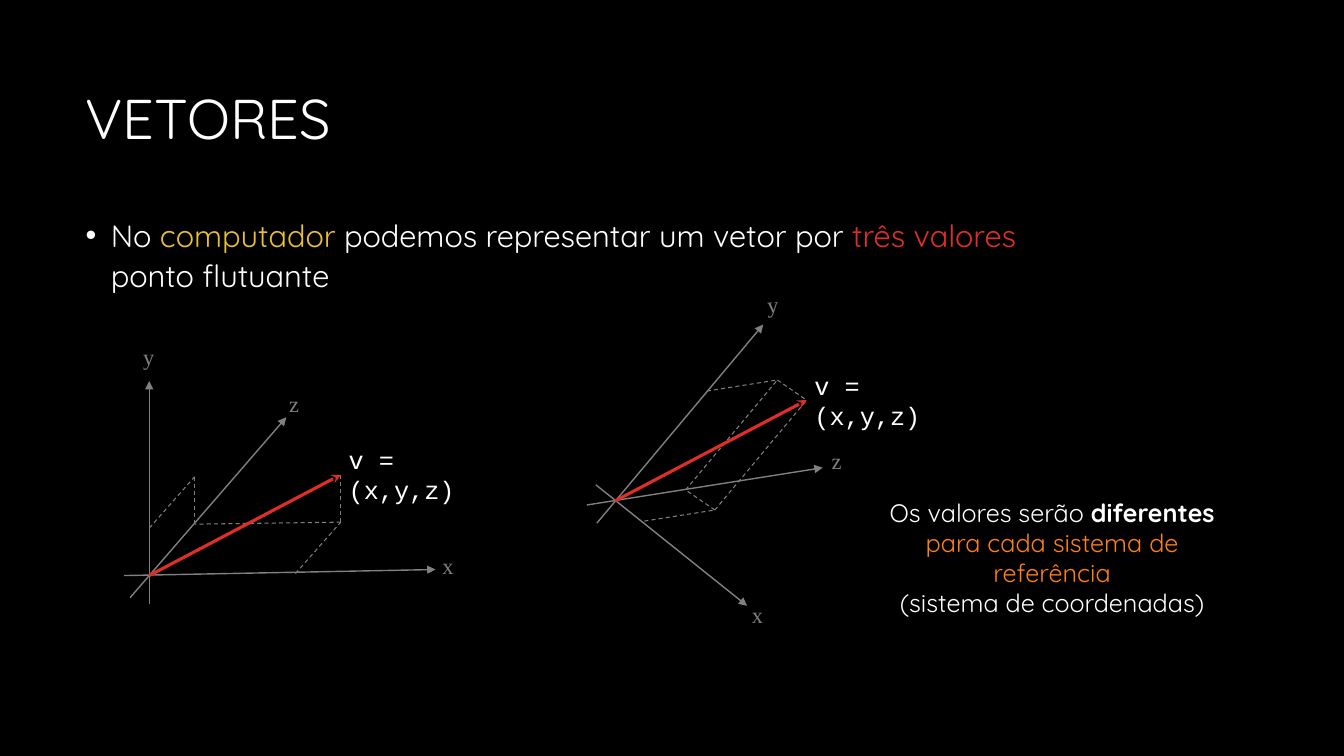
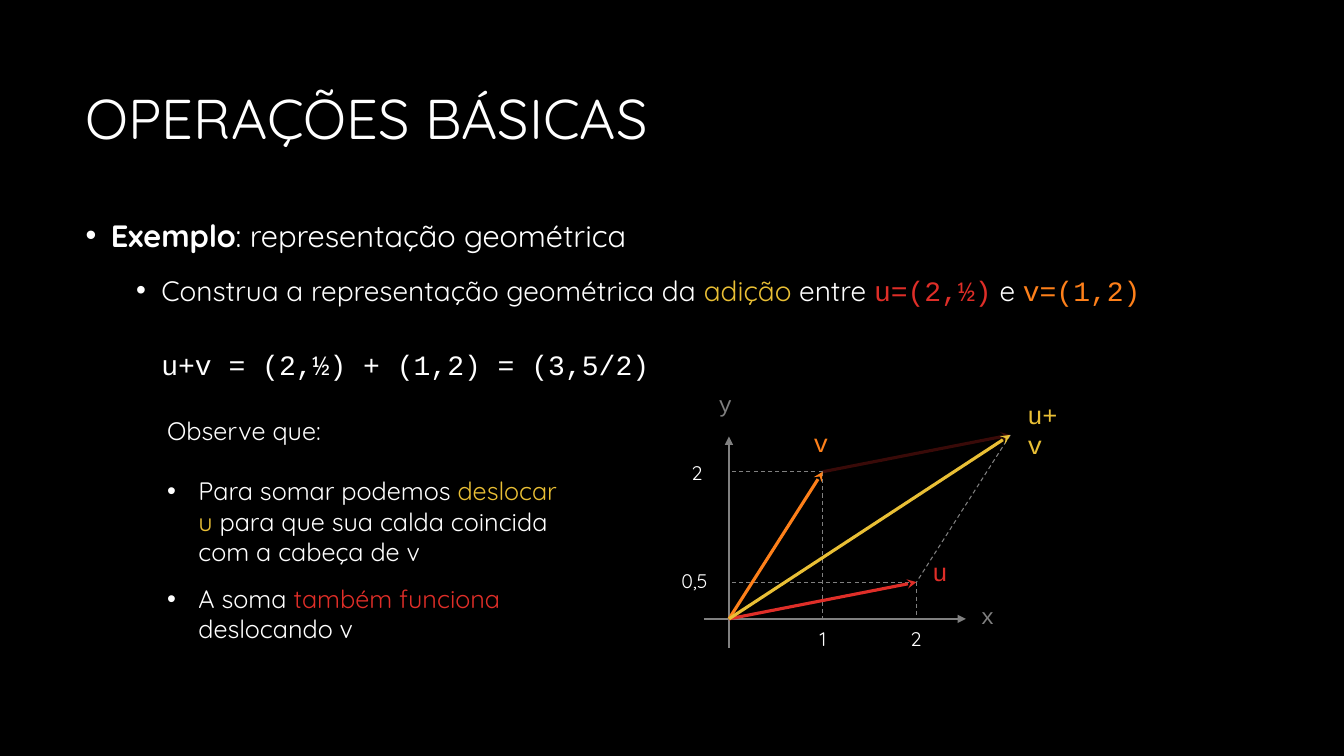
from copy import deepcopy
from dataclasses import dataclass

from lxml import etree
from pptx import Presentation
from pptx.dml import color
from pptx.enum import dml, shapes, text
from pptx.oxml import ns
from pptx.util import Inches, Pt


@dataclass(frozen=True)
class Theme:
    """Colours, fonts and type sizes of the deck."""
    back: str = "000000"
    ink: str = "FFFFFF"
    gray: str = "808080"
    yellow: str = "E9BF35"
    red: str = "DF2E28"
    dark_red: str = "721411"
    orange: str = "FE801A"
    sans: str = "Quicksand"
    mono: str = "Courier New"
    serif: str = "Times New Roman"
    title: int = 40
    lead: int = 22
    sub: int = 20
    note: int = 18
    axis: int = 16
    tick: int = 14
    vector: float = 2.25
    rule: float = 1
    guide: float = 0.75


T = Theme()
BREAK = "\n"


def rgb(value):
    """Return a colour from its hex digits."""
    return color.RGBColor.from_string(value)


def add(*vectors):
    """Sum plane vectors."""
    return tuple(sum(c) for c in zip(*vectors))


def sub_element(parent, tag, **attrs):
    """Append a DrawingML element with attributes."""
    return etree.SubElement(parent, ns.qn("a:" + tag), attrs)


def style(r, size, ink=T.ink, font=T.sans, bold=False):
    """Format one run."""
    r.font.size, r.font.name, r.font.bold = Pt(size), font, bold
    r.font.color.rgb = rgb(ink)


def write(p, size, *parts):
    """Fill a paragraph with (text, colour, font, bold) parts and breaks."""
    for part in parts:
        if part == BREAK:
            p.add_line_break()
            p._p[-1].append(deepcopy(p.runs[-1]._r.rPr))
        else:
            r = p.add_run()
            r.text = part[0]
            style(r, size, *part[1:])


def bullet(p, left, hang):
    """Give a paragraph a hanging round bullet."""
    pPr = p._p.get_or_add_pPr()
    pPr.set("marL", str(Inches(left)))
    pPr.set("indent", str(-Inches(hang)))
    sub_element(pPr, "buFont", typeface="Arial")
    sub_element(pPr, "buChar", char="•")


def body_item(p, level, size, before, *parts):
    """Write one list item of the body placeholder."""
    p.level = level
    p.line_spacing, p.space_before = 1.1, Pt(before)
    bullet(p, 0.25 + 0.5 * level, 0.25)
    write(p, size, *parts)


def place(sp, left, top, width, height):
    """Move and size a shape."""
    sp.left, sp.top = Inches(left), Inches(top)
    sp.width, sp.height = Inches(width), Inches(height)


def content_slide(prs, title):
    """Add a titled slide and return it with its body text frame."""
    s = prs.slides.add_slide(prs.slide_layouts[1])
    sp, body = s.placeholders
    place(sp, 0.75, 0.5, 11.83, 1.41)
    place(body, 0.75, 2.06, 11.83, 4.69)
    tf = sp.text_frame
    tf.text = title
    tf.vertical_anchor = text.MSO_ANCHOR.MIDDLE
    p = tf.paragraphs[0]
    p.alignment, p.line_spacing = text.PP_ALIGN.LEFT, 0.9
    style(p.runs[0], T.title)
    for frame in (tf, body.text_frame):
        frame.auto_size = text.MSO_AUTO_SIZE.NONE
    return s, body.text_frame


def text_box(s, left, top, width, height, wrap=True):
    """Add a text box and return it."""
    sp = s.shapes.add_textbox(Inches(left), Inches(top), Inches(width), Inches(height))
    sp.text_frame.word_wrap = wrap
    return sp


def label(s, at, words, size, ink, font, width=0.32, wrap=False):
    """Add a short label with its corner at a point."""
    sp = text_box(s, *at, width, 0.37, wrap)
    p = sp.text_frame.paragraphs[0]
    p.text = words
    style(p.runs[0], size, ink, font)
    return sp


def line(s, start, end, ink=T.gray, width=T.rule, head=None, dash=False, alpha=None):
    """Draw a straight line, optionally dashed, headed or translucent."""
    points = [Inches(v) for v in (*start, *end)]
    c = s.shapes.add_connector(shapes.MSO_CONNECTOR.STRAIGHT, *points)
    c.line.width = Pt(width)
    c.line.color.rgb = rgb(ink)
    if dash:
        c.line.dash_style = dml.MSO_LINE.DASH
    spPr = c._element.spPr
    ln = spPr.find(ns.qn("a:ln"))
    if alpha:
        sub_element(ln.find(".//" + ns.qn("a:srgbClr")), "alpha", val=str(alpha * 1000))
    if head:
        sub_element(ln, "tailEnd", type=head)
    sub_element(spPr, "effectLst")


def guide(s, start, end):
    """Draw a dashed guide."""
    line(s, start, end, width=T.guide, dash=True)


def vector(s, start, end, ink, alpha=None):
    """Draw a thick vector arrow."""
    line(s, start, end, ink, T.vector, "stealth", alpha=alpha)


def vector_space(s, origin, axes, closed=False, tilt=0):
    """Draw a vector in a 3D frame; axes hold component, start, end, label."""
    for name, (_, start, end, corner) in axes.items():
        line(s, add(origin, start), add(origin, end), head="triangle")
        sp = label(s, add(origin, corner), name, T.axis, T.gray, T.serif)
        sp.rotation = tilt if name == "y" else 0
    x, y, z = (axes[name][0] for name in "xyz")
    xz, yz, v = add(x, z), add(y, z), add(x, y, z)
    edges = [(x, xz), (xz, v), (xz, z), (z, yz), (y, yz)]
    if closed:
        edges.append((yz, v))
    for start, end in edges:
        guide(s, add(origin, start), add(origin, end))
    vector(s, origin, add(origin, v), T.red)
    label(s, add(origin, (1.88, -1.35)), "v = (x,y,z)", T.note, T.ink, T.mono, 1.73, True)


def sum_graph(s, origin):
    """Plot u, v and u+v on plane axes."""
    def at(x, y):
        return add(origin, (0.93 * x, -0.73 * y))

    u, v, total = at(2, 0.5), at(1, 2), at(3, 2.5)
    for start, end in [((-0.25, 0), (2.35, 0)), ((0, 0.29), (0, -1.81))]:
        line(s, add(origin, start), add(origin, end), head="triangle")
    for start, end in [(u, at(2, 0)), (u, at(0, 0.5)), (v, at(1, 0)), (v, at(0, 2)), (total, u)]:
        guide(s, start, end)
    vector(s, origin, v, T.orange)
    vector(s, origin, u, T.red)
    vector(s, v, total, T.dark_red, 50)
    vector(s, origin, total, T.yellow)
    for words, corner in [("x", (2.4, -0.22)), ("y", (-0.2, -2.32))]:
        label(s, add(origin, corner), words, T.axis, T.gray, T.mono)
    for words, corner, ink, width in [("u", (1.92, -0.67), T.red, 0.41),
                                      ("v", (0.74, -1.95), T.orange, 0.37),
                                      ("u+v", (2.86, -2.23), T.yellow, 0.62)]:
        label(s, add(origin, corner), words, T.note, ink, T.mono, width, True)
    for words, corner, width in [("1", (0.8, 0.03), 0.31), ("2", (1.7, 0.03), 0.31),
                                 ("2", (-0.47, -1.62), 0.31), ("0,5", (-0.57, -0.55), 0.47)]:
        label(s, add(origin, corner), words, T.tick, T.ink, T.sans, width)


def remark(s, left, top):
    """Write the centred remark on coordinate systems."""
    p = text_box(s, left, top, 3.43, 1.31).text_frame.paragraphs[0]
    p.alignment = text.PP_ALIGN.CENTER
    write(p, T.note, ("Os valores serão ",), ("diferentes ", T.ink, T.sans, True),
          ("para cada sistema de referência", T.orange), BREAK,
          ("(sistema de coordenadas)",))


def observations(s, left, top):
    """Write the observations list."""
    tf = text_box(s, left, top, 4.19, 2.69).text_frame
    write(tf.paragraphs[0], T.note, ("Observe que:",), BREAK)
    for parts in [(("Para somar podemos ",), ("deslocar u", T.yellow),
                   (" para que sua calda coincida com a cabeça de v",)),
                  (("A soma ",), ("também funciona ", T.red), ("deslocando v",))]:
        p = tf.add_paragraph()
        p.space_after = Pt(12)
        bullet(p, 0.31, 0.31)
        write(p, T.note, *parts)


def vectors_slide(prs):
    """Build the slide on vectors as three values."""
    s, tf = content_slide(prs, "VETORES")
    body_item(tf.paragraphs[0], 0, T.lead, 10, ("No ",), ("computador", T.yellow),
              (" podemos representar um vetor por ",), ("três valores ", T.red),
              BREAK, ("ponto flutuante",))
    vector_space(s, (1.48, 5.71), {
        "x": ((1.45, -0.02), (-0.25, 0), (2.84, -0.06), (2.81, -0.28)),
        "y": ((0, -0.47), (0, 0.28), (0, -1.93), (-0.16, -2.35)),
        "z": ((0.45, -0.51), (-0.19, 0.22), (1.36, -1.57), (1.29, -1.89))})
    vector_space(s, (6.1, 4.97), {
        "x": ((0.29, 0.2), (-0.19, -0.16), (1.31, 1.04), (1.26, 0.94)),
        "y": ((0.91, -1.09), (-0.18, 0.22), (1.47, -1.75), (1.41, -2.13)),
        "z": ((0.7, -0.11), (-0.28, 0.04), (2.06, -0.33), (2.05, -0.58))},
        closed=True, tilt=357.2)
    remark(s, 8.72, 4.88)


def operations_slide(prs):
    """Build the slide on vector addition."""
    s, tf = content_slide(prs, "OPERAÇÕES BÁSICAS")
    body_item(tf.paragraphs[0], 0, T.lead, 10, ("Exemplo", T.ink, T.sans, True),
              (": representação geométrica",))
    body_item(tf.add_paragraph(), 1, T.sub, 12,
              ("Construa a representação geométrica da ",), ("adição", T.yellow),
              (" entre ",), ("u=(2,½)", T.red, T.mono), (" e ",),
              ("v=(1,2)", T.orange, T.mono), BREAK, BREAK,
              ("u+v = (2,½) + (1,2) = (3,5/2)", T.ink, T.mono))
    observations(s, 1.56, 4.07)
    sum_graph(s, (7.23, 6.14))


def main():
    """Build and save the deck."""
    prs = Presentation()
    prs.slide_width, prs.slide_height = Inches(13.33), Inches(7.5)
    fill = prs.slide_master.background.fill
    fill.solid()
    fill.fore_color.rgb = rgb(T.back)
    vectors_slide(prs)
    operations_slide(prs)
    prs.save("out.pptx")


if __name__ == "__main__":
    main()
